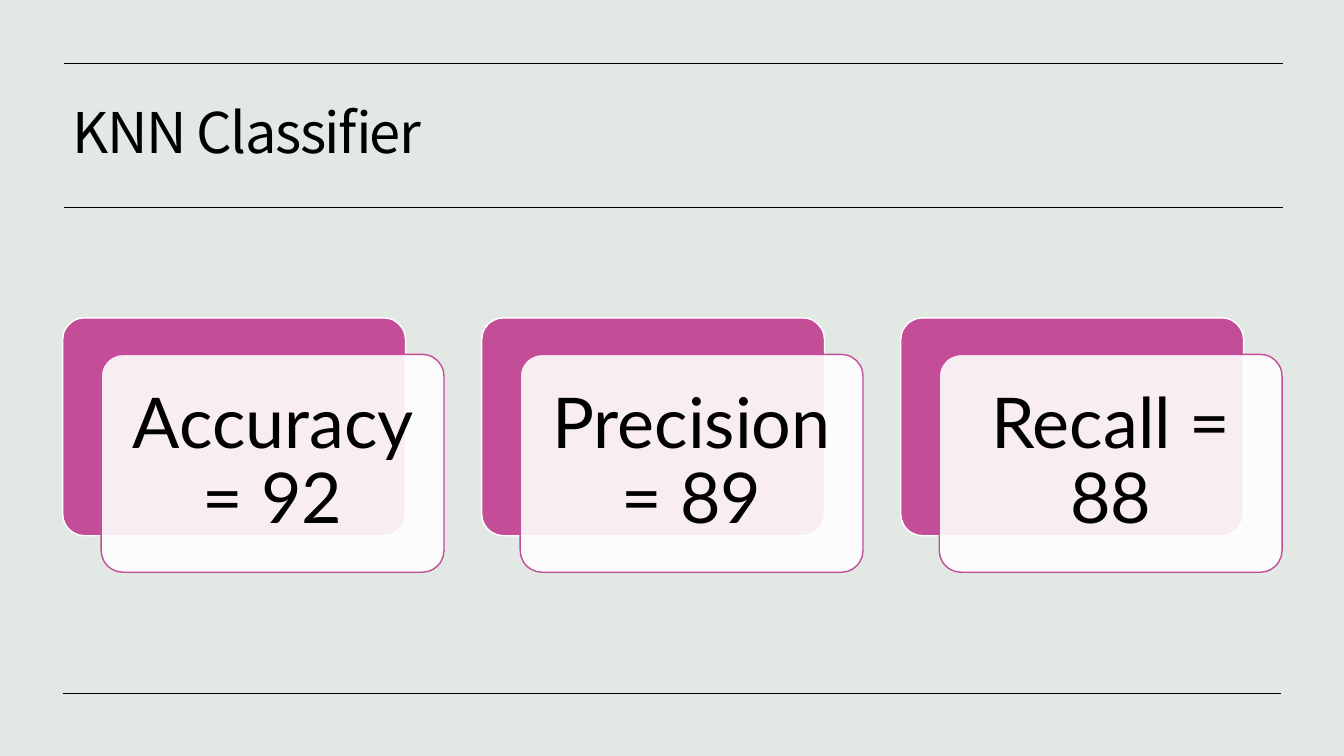
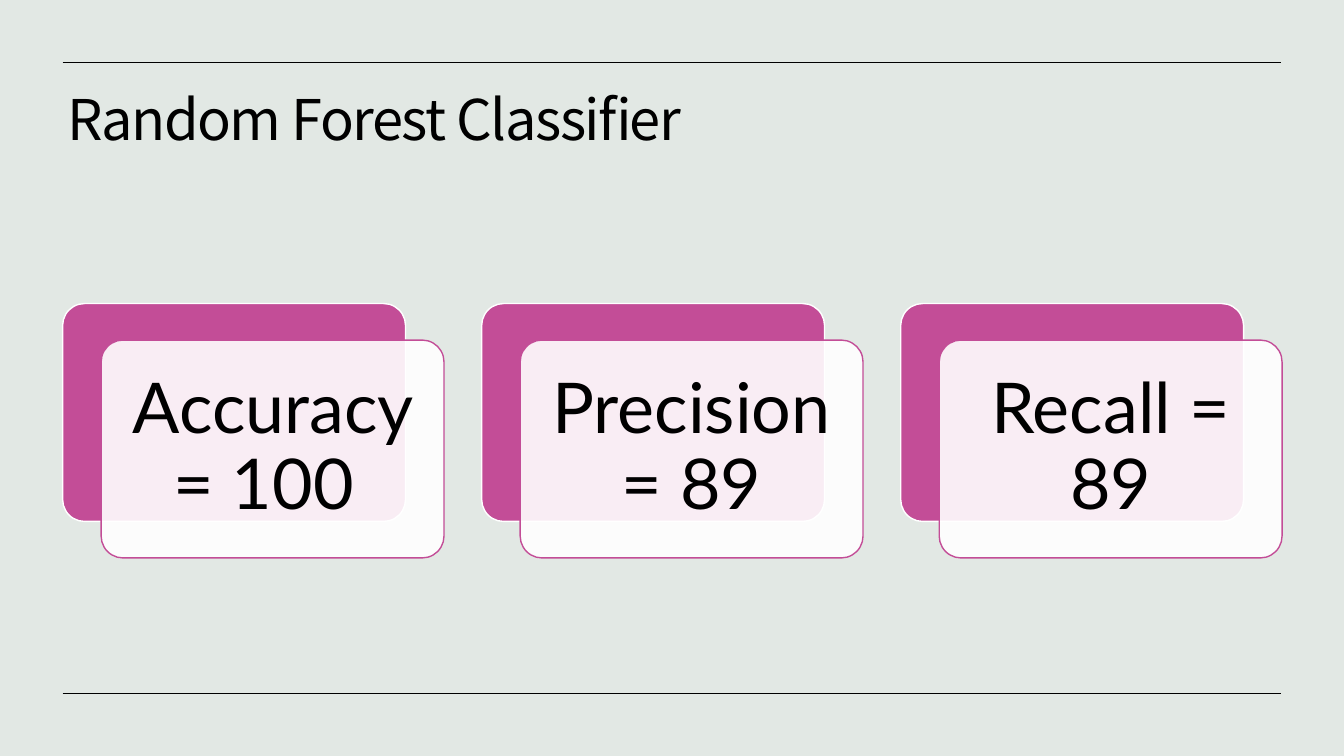
"""Build two slides that show the scores of two classifiers."""
from dataclasses import dataclass

from lxml.etree import SubElement as Sub
from pptx import Presentation as Deck
from pptx.dml.color import RGBColor as Rgb
from pptx.enum.shapes import MSO_CONNECTOR as Link, MSO_SHAPE as Form
from pptx.enum.text import MSO_ANCHOR as Anchor, PP_ALIGN as Align
from pptx.oxml.ns import qn
from pptx.shapes.autoshape import Shape
from pptx.slide import Slide
from pptx.util import Cm, Pt


@dataclass(frozen=True)
class Theme:
    ground: Rgb = Rgb(0xE2, 0xE8, 0xE4)
    ink: Rgb = Rgb(0, 0, 0)
    pink: Rgb = Rgb(0xC3, 0x4D, 0x97)
    white: Rgb = Rgb(0xFF, 0xFF, 0xFF)
    head_font: str = "Noto Sans CJK KR"
    card_font: str = "Lato"
    head_size: float = 40
    card_size: float = 50
    rule: float = 0.5
    edge: float = 1


@dataclass(frozen=True)
class Box:
    left: float
    top: float
    width: float
    height: float


@dataclass(frozen=True)
class Rule:
    left: float
    top: float


@dataclass(frozen=True)
class Page:
    title: str
    head: Box
    anchor: Anchor
    rules: tuple[Rule, ...]
    top: float
    scores: tuple[str, ...]


LOOK = Theme()
LEFT, SPAN = 1.58, 30.71
CARD_W, CARD_H, STEP = 8.64, 5.49, 10.56
SHIFT_X, SHIFT_Y = 0.97, 0.92

PAGES = (
    Page("KNN Classifier", Box(1.58, 1.91, 30.68, 3.02), Anchor.MIDDLE,
         (Rule(LEFT, 17.46), Rule(1.62, 5.23), Rule(1.62, 1.6)), 8.01,
         ("Accuracy = 92", "Precision = 89", "Recall = 88")),
    Page("Random Forest Classifier", Box(1.45, 2.18, 30.86, 2.92), Anchor.TOP,
         (Rule(LEFT, 1.58), Rule(LEFT, 17.47)), 7.65,
         ("Accuracy = 100 ", "Precision = 89", "Recall = 89")),
)


def write(shape: Shape, text: str, *, font: str, size: float,
          align: Align = Align.LEFT, anchor: Anchor = Anchor.MIDDLE,
          inset: tuple[float, float] = (0.25, 0.13), track: int = 0) -> None:
    """Set the text of a shape in one format."""
    frame = shape.text_frame
    frame.word_wrap = True
    frame.vertical_anchor = anchor
    frame.margin_left = frame.margin_right = Cm(inset[0])
    frame.margin_top = frame.margin_bottom = Cm(inset[1])
    para = frame.paragraphs[0]
    para.alignment = align
    para.line_spacing = 0.9
    run = para.add_run()
    run.text = text
    run.font.name = font
    run.font.size = Pt(size)
    run.font.color.rgb = LOOK.ink
    if track:
        for props in shape.element.iter(qn("a:rPr")):
            props.set("spc", str(track))


def draw_rule(slide: Slide, rule: Rule) -> None:
    """Draw one thin line across the slide."""
    line = slide.shapes.add_connector(
        Link.STRAIGHT, Cm(rule.left), Cm(rule.top),
        Cm(rule.left + SPAN), Cm(rule.top))
    line.line.color.rgb = LOOK.ink
    line.line.width = Pt(LOOK.rule)
    Sub(line.element.spPr, qn("a:effectLst"))


def draw_plate(slide: Slide, left: float, top: float, fill: Rgb, edge: Rgb,
               alpha: int = 100) -> Shape:
    """Draw one round plate, see-through if alpha is below 100."""
    plate = slide.shapes.add_shape(
        Form.ROUNDED_RECTANGLE, Cm(left), Cm(top), Cm(CARD_W), Cm(CARD_H))
    plate.adjustments[0] = 0.1
    plate.shadow.inherit = False
    plate.fill.solid()
    plate.fill.fore_color.rgb = fill
    plate.line.color.rgb = edge
    plate.line.width = Pt(LOOK.edge)
    if alpha < 100:
        tint = plate.element.spPr.find(qn("a:solidFill")).find(qn("a:srgbClr"))
        Sub(tint, qn("a:alpha"), val=str(alpha * 1000))
    return plate


def draw_card(slide: Slide, left: float, top: float, text: str) -> None:
    """Draw a pink plate with a pale plate and its score in front."""
    draw_plate(slide, left, top, LOOK.pink, LOOK.white)
    front = draw_plate(slide, left + SHIFT_X, top + SHIFT_Y,
                       LOOK.white, LOOK.pink, alpha=90)
    write(front, text, font=LOOK.card_font, size=LOOK.card_size,
          align=Align.CENTER, inset=(0.53, 0.53))


def draw_page(slide: Slide, page: Page) -> None:
    """Draw the rules, title and cards of one page."""
    for rule in page.rules:
        draw_rule(slide, rule)
    head = page.head
    box = slide.shapes.add_textbox(
        Cm(head.left), Cm(head.top), Cm(head.width), Cm(head.height))
    write(box, page.title, font=LOOK.head_font, size=LOOK.head_size,
          anchor=page.anchor, track=-100)
    for spot, score in enumerate(page.scores):
        draw_card(slide, LEFT + spot * STEP, page.top, score)


def main() -> None:
    """Build and save the deck."""
    deck = Deck()
    deck.slide_width, deck.slide_height = Cm(33.87), Cm(19.05)
    ground = deck.slide_master.background.fill
    ground.solid()
    ground.fore_color.rgb = LOOK.ground
    blank = deck.slide_layouts[6]
    for page in PAGES:
        draw_page(deck.slides.add_slide(blank), page)
    deck.save("out.pptx")


if __name__ == "__main__":
    main()
